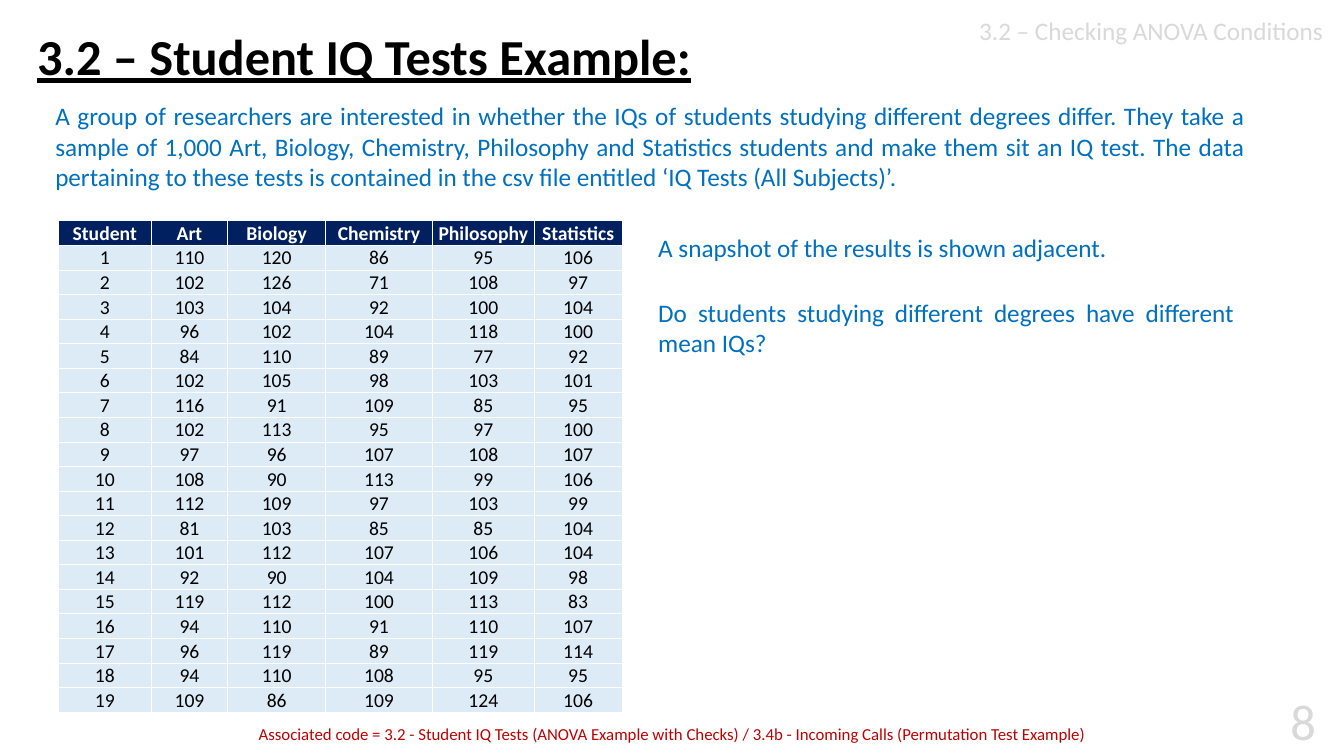
from dataclasses import dataclass

from lxml import etree
from pptx import Presentation
from pptx.dml.color import RGBColor
from pptx.enum.text import MSO_ANCHOR, PP_ALIGN
from pptx.oxml.ns import qn
from pptx.util import Pt

LEFT, CENTER, RIGHT, JUSTIFY = PP_ALIGN.LEFT, PP_ALIGN.CENTER, PP_ALIGN.RIGHT, PP_ALIGN.JUSTIFY
MIDDLE = MSO_ANCHOR.MIDDLE
EMU_PER_PX = 9144
BLANK_LAYOUT = 6


@dataclass(frozen=True)
class Theme:
    font: str = "Calibri"
    black: str = "000000"
    white: str = "FFFFFF"
    blue: str = "0070C0"
    navy: str = "002060"
    pale: str = "DDEBF7"
    red: str = "C00000"
    grey: str = "D9D9D9"
    title_size: int = 36
    body_size: int = 18
    cell_size: int = 14
    note_size: int = 12


THEME = Theme()

SUBJECTS = ["Student", "Art", "Biology", "Chemistry", "Philosophy", "Statistics"]
COLUMN_WIDTHS = [92, 76, 97, 106, 101, 87]
ROW_HEIGHT = 22
SCORES = [
    (110, 120, 86, 95, 106),
    (102, 126, 71, 108, 97),
    (103, 104, 92, 100, 104),
    (96, 102, 104, 118, 100),
    (84, 110, 89, 77, 92),
    (102, 105, 98, 103, 101),
    (116, 91, 109, 85, 95),
    (102, 113, 95, 97, 100),
    (97, 96, 107, 108, 107),
    (108, 90, 113, 99, 106),
    (112, 109, 97, 103, 99),
    (81, 103, 85, 85, 104),
    (101, 112, 107, 106, 104),
    (92, 90, 104, 109, 98),
    (119, 112, 100, 113, 83),
    (94, 110, 91, 110, 107),
    (96, 119, 89, 119, 114),
    (94, 110, 108, 95, 95),
    (109, 86, 109, 124, 106),
]

QUESTION_CONTEXT = (
    "A group of researchers are interested in whether the IQs of students studying different "
    "degrees differ. They take a sample of 1,000 Art, Biology, Chemistry, Philosophy and "
    "Statistics students and make them sit an IQ test. The data pertaining to these tests is "
    "contained in the csv file entitled ‘IQ Tests (All Subjects)’."
)
CODE_NOTE = (
    "Associated code = 3.2 - Student IQ Tests (ANOVA Example with Checks) / "
    "3.4b - Incoming Calls (Permutation Test Example)"
)


def px(length):
    return length * EMU_PER_PX


def write(frame, text, size, color, align, bold=False, underline=False):
    frame.text = text
    para = frame.paragraphs[0]
    para.alignment = align
    for span in para.runs:
        span.font.name = THEME.font
        span.font.size = Pt(size)
        span.font.color.rgb = RGBColor.from_string(color)
        span.font.bold = bold
        span.font.underline = underline
    return para


def add_text(page, area, text, size, color, align, **style):
    box = page.shapes.add_textbox(*map(px, area))
    box.text_frame.word_wrap = True
    box.text_frame.vertical_anchor = MIDDLE if style.pop("middle", False) else MSO_ANCHOR.TOP
    return write(box.text_frame, text, size, color, align, **style)


def add_borders(cell, color):
    properties = cell._tc.get_or_add_tcPr()
    for position, side in enumerate(("lnL", "lnR", "lnT", "lnB")):
        border = etree.Element(qn(f"a:{side}"), w=str(Pt(0.5)))
        fill = etree.SubElement(border, qn("a:solidFill"))
        etree.SubElement(fill, qn("a:srgbClr"), val=color)
        properties.insert(position, border)


def fill_cell(cell, value, is_header):
    cell.margin_left = cell.margin_right = cell.margin_top = px(1)
    cell.margin_bottom = 0
    cell.vertical_anchor = MIDDLE
    cell.fill.solid()
    cell.fill.fore_color.rgb = RGBColor.from_string(THEME.navy if is_header else THEME.pale)
    color = THEME.white if is_header else THEME.black
    write(cell.text_frame, str(value), THEME.cell_size, color, CENTER, bold=is_header)
    add_borders(cell, THEME.white)


def add_score_table(page, left, top):
    rows = [SUBJECTS] + [(student, *scores) for student, scores in enumerate(SCORES, 1)]
    area = (left, top, sum(COLUMN_WIDTHS), ROW_HEIGHT * len(rows))
    table = page.shapes.add_table(len(rows), len(SUBJECTS), *map(px, area)).table
    for column, width in zip(table.columns, COLUMN_WIDTHS):
        column.width = px(width)
    for row_index, values in enumerate(rows):
        for column_index, value in enumerate(values):
            fill_cell(table.cell(row_index, column_index), value, row_index == 0)


def main():
    deck = Presentation()
    deck.slide_width, deck.slide_height = px(1333), px(750)
    page = deck.slides.add_slide(deck.slide_layouts[BLANK_LAYOUT])

    add_text(page, (900, 10, 422, 40), "3.2 – Checking ANOVA Conditions",
             THEME.body_size, THEME.grey, RIGHT, middle=True)
    add_text(page, (1230, 680, 85, 70), "8", THEME.title_size, THEME.grey, RIGHT, middle=True)

    body = (THEME.body_size, THEME.blue, JUSTIFY)
    add_text(page, (45, 95, 1200, 107), QUESTION_CONTEXT, *body)
    add_score_table(page, 58, 219)
    add_text(page, (643, 226, 591, 48), "A snapshot of the results is shown adjacent.", *body)
    add_text(page, (643, 290, 591, 67),
             "Do students studying different degrees have different mean IQs?", *body)
    add_text(page, (209, 713, 916, 28), CODE_NOTE, THEME.note_size, THEME.red, CENTER)
    title = add_text(page, (27, 26, 1007, 66), "3.2 – Student IQ Tests Example:",
                     THEME.title_size, THEME.black, LEFT,
                     bold=True, underline=True, middle=True)
    title.line_spacing = 0.9

    deck.save("out.pptx")


if __name__ == "__main__":
    main()
